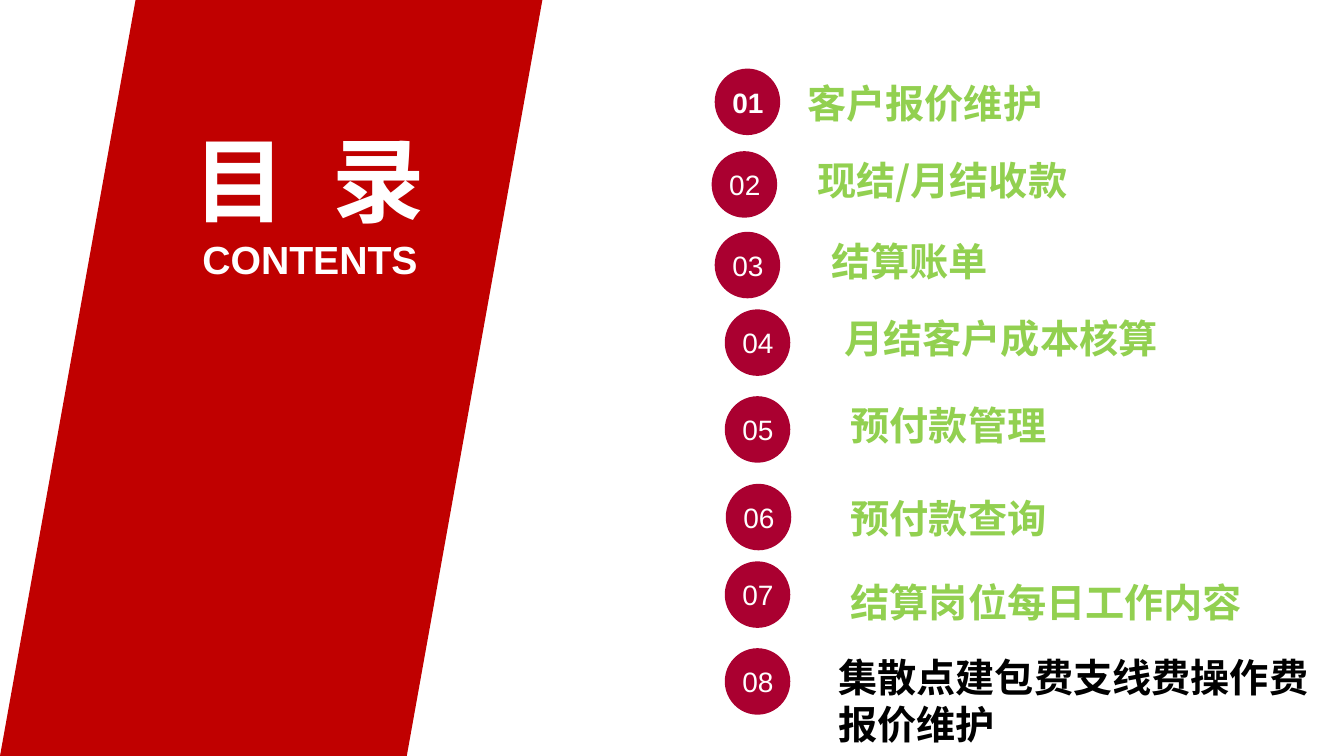
from lxml.etree import SubElement
from pptx import Presentation
from pptx.dml.color import RGBColor
from pptx.enum.shapes import MSO_SHAPE
from pptx.enum.text import MSO_ANCHOR, PP_ALIGN
from pptx.oxml.ns import qn
from pptx.util import Pt

RED = RGBColor(0xC0, 0x00, 0x00)
CRIMSON = RGBColor(0xAA, 0x00, 0x30)
GREEN = RGBColor(0x92, 0xD0, 0x50)
WHITE = RGBColor(0xFF, 0xFF, 0xFF)
BLACK = RGBColor(0x00, 0x00, 0x00)
LATIN = "Arial"
CHINESE = "Noto Sans CJK SC"
LEFT, CENTER = PP_ALIGN.LEFT, PP_ALIGN.CENTER

BADGES = [(510.5, 49), (508.3, 108), (510.5, 165.6), (517.7, 221),
          (517.7, 283), (518.4, 345.6), (517.7, 401), (517.7, 463)]

TOPICS = [
    ("现结/月结收款", (576.7, 108, 221, 41), GREEN, LEFT, True),
    ("结算账单", (586.8, 166.3, 211, 41), GREEN, LEFT, True),
    ("月结客户成本核算", (576.7, 221, 276.5, 41), GREEN, CENTER, True),
    ("预付款管理", (600.5, 283, 154, 41), GREEN, LEFT, False),
    ("预付款查询", (600.5, 349.2, 154, 41), GREEN, LEFT, False),
    ("结算岗位每日工作内容", (600.5, 409.7, 294.5, 41), GREEN, LEFT, False),
    ("集散点建包费支线费操作费报价维护", (591.8, 463, 350, 75), BLACK, LEFT, True),
]


def add_shape(page, kind, area, color):
    shape = page.shapes.add_shape(kind, *map(Pt, area))
    shape.shadow.inherit = False
    shape.fill.solid()
    shape.fill.fore_color.rgb = color
    shape.line.fill.background()


def add_text(page, text, area, size, color, font=LATIN, bold=True,
             align=LEFT, wrap=True, inset=True):
    frame = page.shapes.add_textbox(*map(Pt, area)).text_frame
    frame.word_wrap = wrap
    if not inset:
        frame.margin_left = frame.margin_right = Pt(0)
        frame.margin_top = frame.margin_bottom = Pt(0)
    para = frame.paragraphs[0]
    para.alignment = align
    para.font.name = font
    para.font.size = Pt(size)
    para.font.bold = bold
    para.font.color.rgb = color
    defaults = para._p.get_or_add_pPr().find(qn("a:defRPr"))
    SubElement(defaults, qn("a:ea")).set("typeface", CHINESE)
    if text:
        para.add_run().text = text
    return frame


def add_title(page):
    frame = add_text(page, "", (125.3, 87.8, 191.5, 80), 66, WHITE,
                     align=CENTER, inset=False)
    frame.vertical_anchor = MSO_ANCHOR.MIDDLE
    for text in ("目", " ", "录"):
        span = frame.paragraphs[0].add_run()
        span.text = text
        if text == " ":
            span._r.get_or_add_rPr().set("spc", "1830")
    add_text(page, "CONTENTS", (126.7, 167.8, 189.4, 33.8), 28, WHITE,
             align=CENTER, inset=False)


def add_badge(page, number, left, top):
    add_shape(page, MSO_SHAPE.OVAL, (left, top, 46.8, 47.5), CRIMSON)
    add_text(page, f"{number:02}", (left + 5.5, top + 8.3, 38.2, 32.4), 20,
             WHITE, bold=number == 1)


def main():
    deck = Presentation()
    deck.slide_width, deck.slide_height = Pt(960), Pt(540)
    page = deck.slides.add_slide(deck.slide_layouts[6])
    add_shape(page, MSO_SHAPE.PARALLELOGRAM, (0, 0, 387.4, 540), RED)
    add_title(page)
    for number, (left, top) in enumerate(BADGES, 1):
        add_badge(page, number, left, top)
    add_text(page, "客户报价维护", (576.7, 56.9, 307.4, 67.7), 28, GREEN,
             CHINESE, inset=False)
    for text, area, color, align, wrap in TOPICS:
        add_text(page, text, area, 28, color, CHINESE, align=align, wrap=wrap)
    deck.save("out.pptx")


if __name__ == "__main__":
    main()
